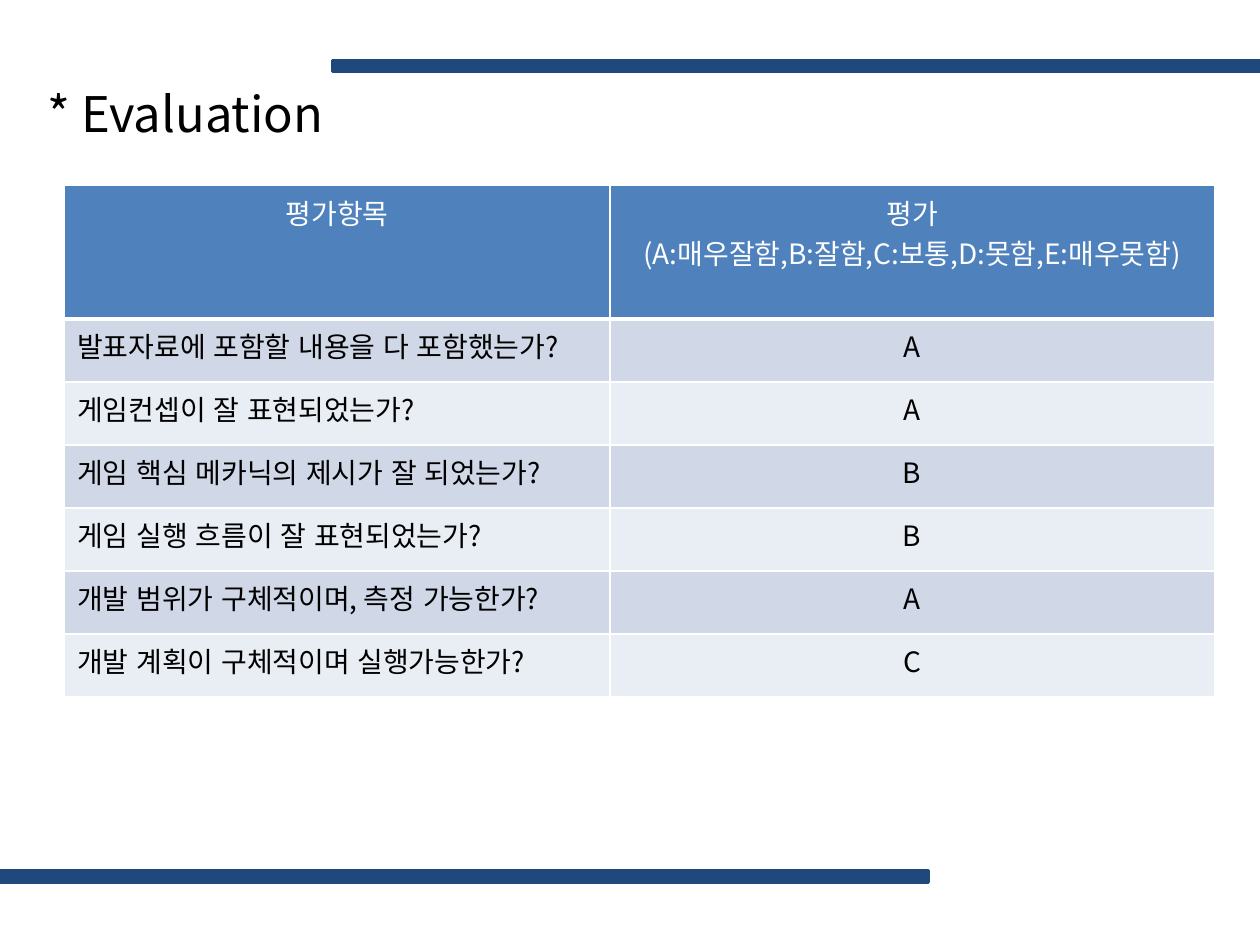
"""Build the evaluation slide: a title, two accent bars and a graded table."""
from dataclasses import dataclass
from lxml.etree import SubElement
from pptx import Presentation
from pptx.dml.color import RGBColor
from pptx.enum.lang import MSO_LANGUAGE_ID as Language
from pptx.enum.shapes import MSO_SHAPE as Shape
from pptx.enum.text import MSO_AUTO_SIZE as AutoSize, PP_ALIGN as Align
from pptx.oxml.ns import qn
from pptx.util import Pt

TITLE = "* Evaluation"
HEADER = ("평가항목", "평가\n(A:매우잘함,B:잘함,C:보통,D:못함,E:매우못함)")
GRADES = [
    ("발표자료에 포함할 내용을 다 포함했는가?", "A"),
    ("게임컨셉이 잘 표현되었는가?", "A"),
    ("게임 핵심 메카닉의 제시가 잘 되었는가?", "B"),
    ("게임 실행 흐름이 잘 표현되었는가?", "B"),
    ("개발 범위가 구체적이며, 측정 가능한가?", "A"),
    ("개발 계획이 구체적이며 실행가능한가?", "C"),
]


@dataclass(frozen=True)
class Theme:
    font: str = "Noto Sans CJK KR"
    title_size: int = 28
    table_size: int = 16
    navy: str = "1F497D"
    blue: str = "4F81BD"
    bands: tuple = ("D0D8E8", "E9EDF4")
    white: str = "FFFFFF"
    black: str = "000000"


THEME = Theme()
PAGE_WIDTH, PAGE_HEIGHT = 720, 540
BAR_WIDTH, BAR_HEIGHT = 530.5, 6.5
BARS = [(190, 34.5), (0, 497.5)]
TABLE_LEFT, TABLE_TOP = 37, 106
COLUMN_WIDTHS = (311.5, 345.5)
HEADER_HEIGHT, ROW_HEIGHT = 56, 36


def color(code):
    return RGBColor.from_string(code)


def write(frame, text, size=THEME.table_size, ink=THEME.black, align=None):
    for index, line in enumerate(text.split("\n")):
        para = frame.add_paragraph() if index else frame.paragraphs[0]
        para.alignment = align
        span = para.add_run()
        span.text = line
        span.font.size = Pt(size)
        span.font.name = THEME.font
        span.font.color.rgb = color(ink)
        span.font.language_id = Language.KOREAN
        SubElement(span.font._element, qn("a:ea"), typeface=THEME.font)


def add_bar(page, left, top):
    bar = page.shapes.add_shape(Shape.RECTANGLE, Pt(left), Pt(top), Pt(BAR_WIDTH), Pt(BAR_HEIGHT))
    bar.shadow.inherit = False
    bar.fill.solid()
    bar.fill.fore_color.rgb = color(THEME.navy)
    bar.line.color.rgb = color(THEME.navy)
    bar.line.width = Pt(2)


def style_cell(cell, fill, bottom=1):
    properties = cell._tc.get_or_add_tcPr()
    for side, width in (("L", 1), ("R", 1), ("T", 1), ("B", bottom)):
        border = SubElement(properties, qn(f"a:ln{side}"), w=str(Pt(width)))
        paint = SubElement(border, qn("a:solidFill"))
        SubElement(paint, qn("a:srgbClr"), val=THEME.white)
    cell.fill.solid()
    cell.fill.fore_color.rgb = color(fill)


def add_grades(page):
    rows = [HEADER, *GRADES]
    heights = [HEADER_HEIGHT] + [ROW_HEIGHT] * len(GRADES)
    table = page.shapes.add_table(
        len(rows), len(HEADER), Pt(TABLE_LEFT), Pt(TABLE_TOP),
        Pt(sum(COLUMN_WIDTHS)), Pt(sum(heights))).table
    for column, width in zip(table.columns, COLUMN_WIDTHS):
        column.width = Pt(width)
    for number, (texts, height) in enumerate(zip(rows, heights)):
        table.rows[number].height = Pt(height)
        heading = number == 0
        fill = THEME.blue if heading else THEME.bands[(number - 1) % 2]
        for position, text in enumerate(texts):
            cell = table.cell(number, position)
            style_cell(cell, fill, bottom=3 if heading else 1)
            write(cell.text_frame, text,
                  ink=THEME.white if heading else THEME.black,
                  align=Align.CENTER if heading or position else None)


def add_title(page):
    box = page.shapes.add_textbox(Pt(20), Pt(44), Pt(351.5), Pt(41))
    box.text_frame.word_wrap = True
    box.text_frame.auto_size = AutoSize.SHAPE_TO_FIT_TEXT
    write(box.text_frame, TITLE, size=THEME.title_size)


deck = Presentation()
deck.slide_width, deck.slide_height = Pt(PAGE_WIDTH), Pt(PAGE_HEIGHT)
page = deck.slides.add_slide(deck.slide_layouts[6])
for left, top in BARS:
    add_bar(page, left, top)
add_grades(page)
add_title(page)
deck.save("out.pptx")
